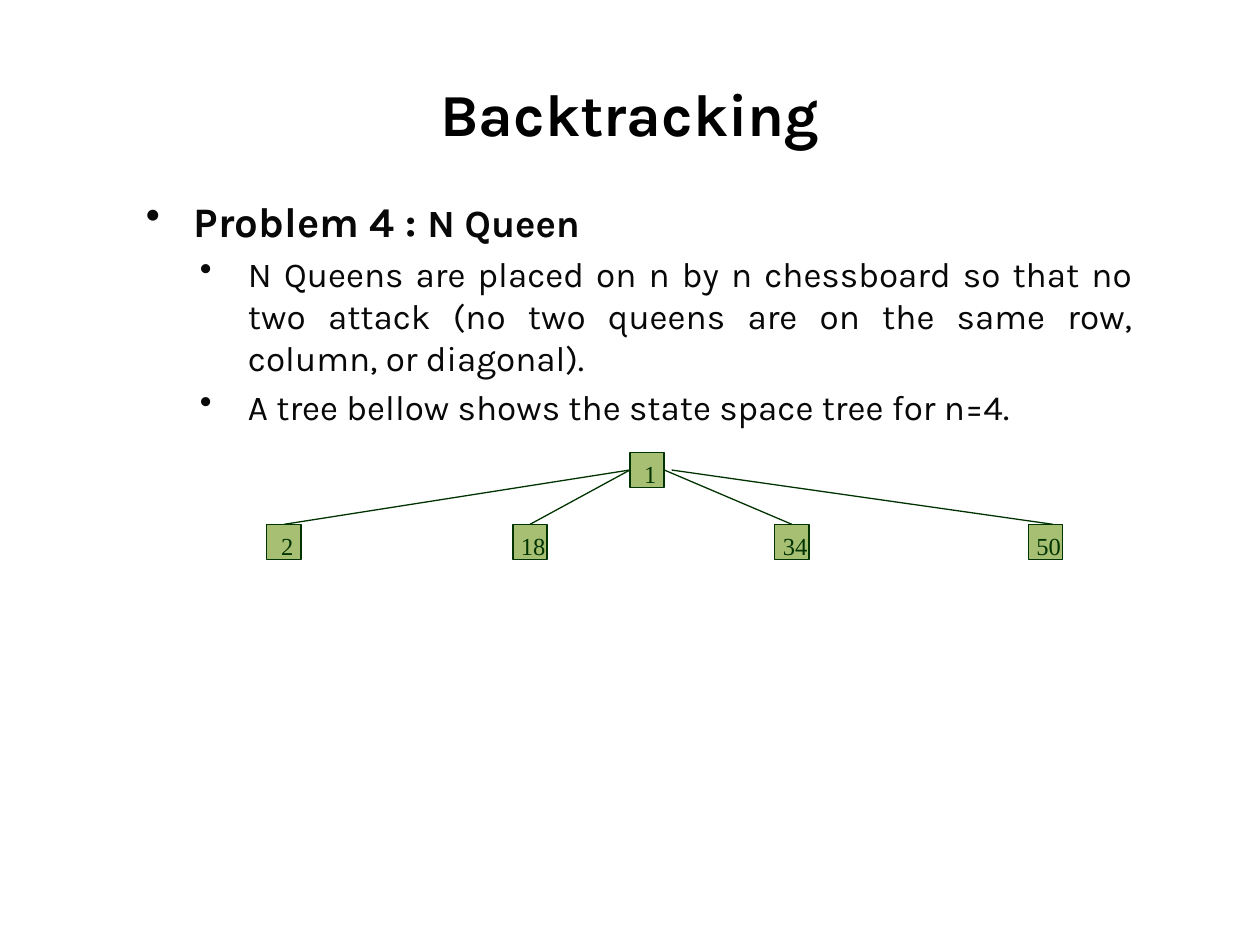
from lxml import etree
from pptx import Presentation
from pptx.dml.color import RGBColor
from pptx.enum.shapes import MSO_CONNECTOR, MSO_SHAPE
from pptx.enum.text import MSO_ANCHOR, PP_ALIGN
from pptx.oxml.ns import qn
from pptx.util import Cm, Pt

LINE = MSO_CONNECTOR.STRAIGHT
RECT = MSO_SHAPE.RECTANGLE
TOP, MIDDLE = MSO_ANCHOR.TOP, MSO_ANCHOR.MIDDLE
CENTER, JUSTIFY = PP_ALIGN.CENTER, PP_ALIGN.JUSTIFY

COLORS = {"title": "000000", "body": "080808", "node": "A6BF73", "ink": "003300"}
SANS, SERIF = "Karla", "Times New Roman"
SIDE, HIGH = 0.69, 0.71
ROOT_TOP, LEAF_TOP = 9.12, 10.57
HANG = 0.97

POINTS = [
    (0, [("Problem 4 : ", 24, True), ("N Queen", 22, True)]),
    (1, [("N Queens are placed on n by n chessboard so that no two attack "
          "(no two queens are on the same row, column, or diagonal).", 20, False)]),
    (1, [("A tree bellow shows the state space tree for n=4.", 20, False)]),
]


def paint(name):
    return RGBColor.from_string(COLORS[name])


def add_run(para, text, size, color, face=SANS, bold=False):
    run = para.add_run()
    run.text = text
    font = run.font
    font.name, font.size, font.bold = face, Pt(size), bold
    font.color.rgb = paint(color)


def add_box(slide, left, top, width, height, anchor=TOP):
    box = slide.shapes.add_textbox(Cm(left), Cm(top), Cm(width), Cm(height))
    frame = box.text_frame
    frame.word_wrap = True
    frame.vertical_anchor = anchor
    return frame


def add_bullet(para, indent):
    props = para._p.get_or_add_pPr()
    props.set("marL", str(Cm(indent)))
    props.set("indent", str(-Cm(HANG)))
    etree.SubElement(props, qn("a:buChar")).set("char", "•")


def add_title(slide, text):
    para = add_box(slide, 1.27, 1.27, 22.86, 2.01, MIDDLE).paragraphs[0]
    para.alignment = CENTER
    add_run(para, text, 34, "title", bold=True)


def add_points(slide):
    frame = add_box(slide, 2.69, 3.81, 20.4, 11.43)
    for i, (level, runs) in enumerate(POINTS):
        para = frame.add_paragraph() if i else frame.paragraphs[0]
        para.alignment, para.level = JUSTIFY, level
        if i:
            para.space_before = Pt(4)
        add_bullet(para, 2.06 if level else HANG)
        for text, size, bold in runs:
            add_run(para, text, size, "body", bold=bold)


def add_node(slide, text, left, top):
    node = slide.shapes.add_shape(RECT, Cm(left), Cm(top), Cm(SIDE), Cm(HIGH))
    node.shadow.inherit = False
    node.fill.solid()
    node.fill.fore_color.rgb = paint("node")
    node.line.color.rgb = paint("ink")
    node.line.width = Pt(0.75)
    frame = node.text_frame
    frame.word_wrap = False
    frame.vertical_anchor = TOP
    frame.margin_left = frame.margin_top = Cm(0.13)
    frame.margin_right = frame.margin_bottom = 0
    para = frame.paragraphs[0]
    para.alignment = CENTER
    add_run(para, text, 14, "ink", SERIF)
    return node


def add_line(slide, start=(0, 0), end=(0, 0)):
    line = slide.shapes.add_connector(LINE, *map(Cm, start + end))
    line.line.color.rgb = paint("ink")
    line.line.width = Pt(0.75)
    etree.SubElement(line._element.spPr, qn("a:effectLst"))
    return line


def add_tree(slide):
    root = add_node(slide, "1", 12.7, ROOT_TOP)
    for text, left, site in (("2", 5.38, 1), ("18", 10.34, 1), ("34", 15.62, 3)):
        leaf = add_node(slide, text, left, LEAF_TOP)
        edge = add_line(slide)
        edge.begin_connect(root, site)
        edge.end_connect(leaf, 0)
    # The last branch stands free of both its nodes' side middles
    add_node(slide, "50", 20.73, LEAF_TOP)
    add_line(slide, (13.54, ROOT_TOP + HIGH / 2), (21.23, LEAF_TOP))


def main():
    deck = Presentation()
    deck.slide_width, deck.slide_height = Cm(25.4), Cm(19.05)
    slide = deck.slides.add_slide(deck.slide_layouts[6])
    add_title(slide, "Backtracking")
    add_points(slide)
    add_tree(slide)
    deck.save("out.pptx")


if __name__ == "__main__":
    main()
